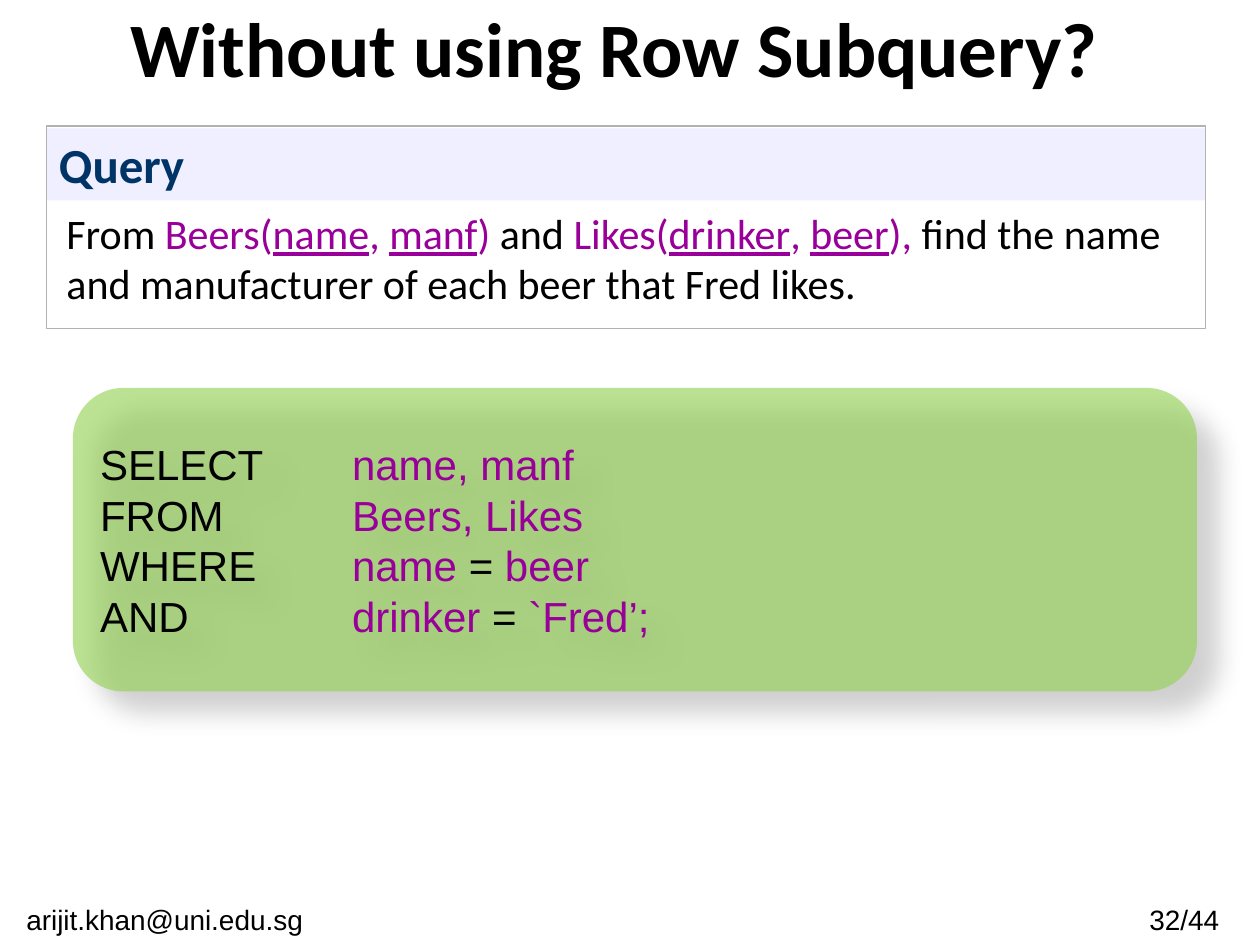
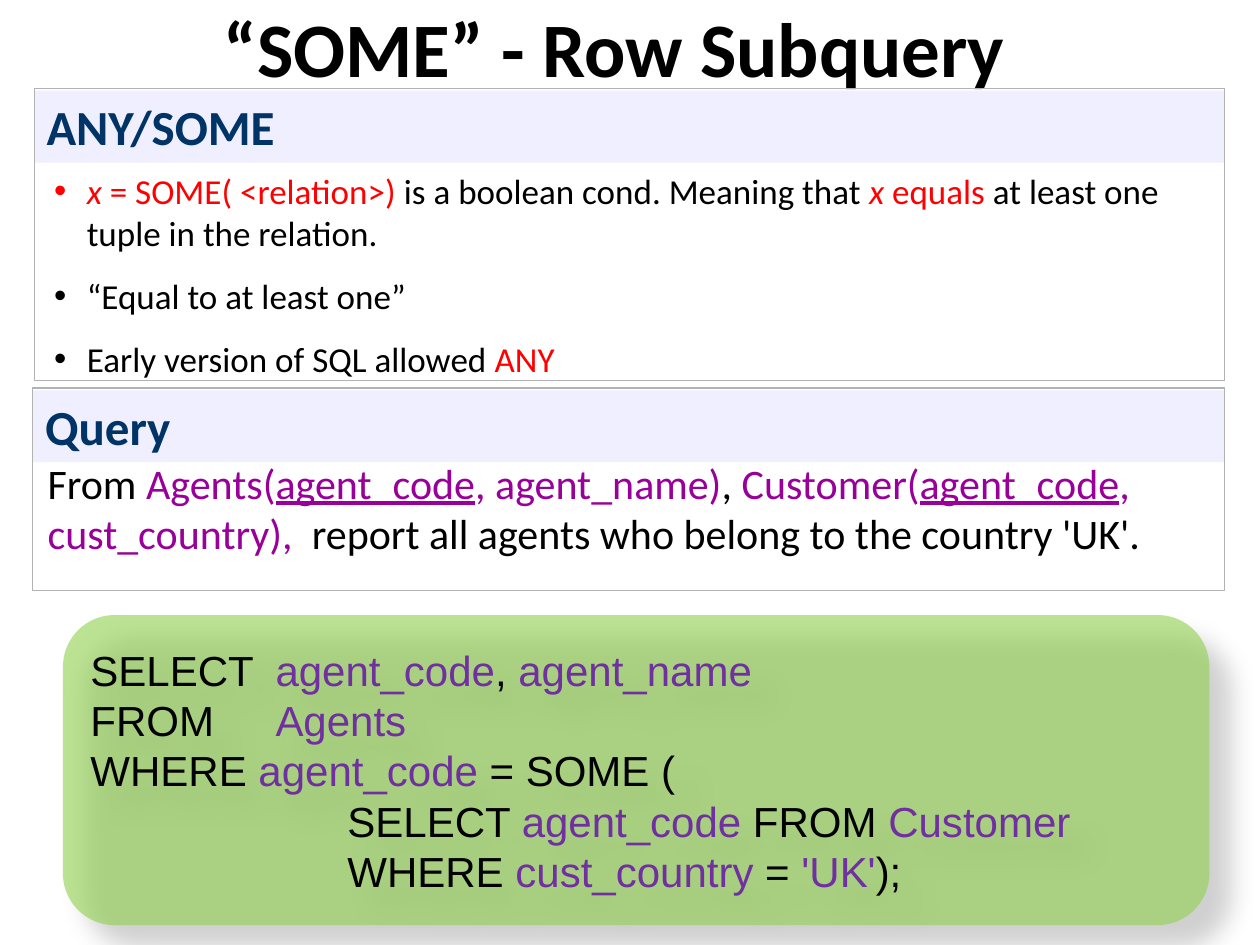
"""Build two lecture slides on SQL row subqueries."""
from lxml import etree
from pptx import Presentation
from pptx import util as u
from pptx.dml import color
from pptx.enum import shapes, text
from pptx.oxml import ns

Cm, Pt = u.Cm, u.Pt
BLACK, NAVY, RED = "000000", "003366", "FF0000"
PURPLE, VIOLET = "990099", "7030A0"
HEADER_FILL, FRAME_GREY, CODE_GREEN = "EFEFFF", "B2B2B2", "92D050"


def rgb(value):
    return color.RGBColor.from_string(value)


def write(frame, lines, size, font="Calibri", align=text.PP_ALIGN.LEFT):
    frame.word_wrap = True
    for number, pieces in enumerate(lines):
        paragraph = frame.add_paragraph() if number else frame.paragraphs[0]
        paragraph.alignment = align
        for words, tint, *style in pieces:
            run = paragraph.add_run()
            run.text = words
            run.font.name, run.font.size = font, Pt(size)
            run.font.color.rgb = rgb(tint)
            run.font.bold = "bold" in style
            run.font.italic = "italic" in style
            run.font.underline = "underline" in style


beers_query = [[
    ("From ", BLACK), ("Beers(", PURPLE), ("name", PURPLE, "underline"),
    (", ", PURPLE), ("manf", PURPLE, "underline"), (")", PURPLE),
    (" and ", BLACK), ("Likes(", PURPLE), ("drinker", PURPLE, "underline"),
    (", ", PURPLE), ("beer", PURPLE, "underline"), ("),", PURPLE),
    (" find the name and manufacturer of each beer that Fred likes.", BLACK),
]]
beers_sql = [
    [("SELECT\t", BLACK), ("name, manf", PURPLE)],
    [("FROM\t", BLACK), ("Beers, Likes", PURPLE)],
    [("WHERE\t", BLACK), ("name ", PURPLE), ("= ", BLACK), ("beer", PURPLE)],
    [("AND\t", BLACK), ("drinker ", PURPLE), ("= ", BLACK), ("`Fred’;", PURPLE)],
]
some_rules = [
    [("x", RED, "italic"), (" = SOME( <relation>) ", RED),
     ("is a boolean cond. Meaning that ", BLACK), ("x", RED, "italic"),
     (" equals ", RED), ("at least one tuple in the relation.", BLACK)],
    [("“Equal to at least one”", BLACK)],
    [("Early version of SQL allowed ", BLACK), ("ANY", RED)],
]
agents_query = [[
    ("From ", BLACK), ("Agents(", PURPLE), ("agent_code", PURPLE, "underline"),
    (", agent_name)", PURPLE), (", ", BLACK), ("Customer(", PURPLE),
    ("agent_code", PURPLE, "underline"), (", cust_country), ", PURPLE),
    (" report all agents who belong to the country 'UK'.", BLACK),
]]
agents_sql = [
    [("SELECT\t", BLACK), ("agent_code", VIOLET), (", ", BLACK), ("agent_name", VIOLET)],
    [("FROM\t", BLACK), ("Agents", VIOLET)],
    [("WHERE ", BLACK), ("agent_code", VIOLET), (" = SOME (", BLACK)],
    [("SELECT ", BLACK), ("agent_code", VIOLET), (" FROM ", BLACK), ("Customer", VIOLET)],
    [("WHERE ", BLACK), ("cust_country ", VIOLET), ("= ", BLACK), ("'UK'", VIOLET),
     (");", BLACK)],
]

lessons = [
    dict(
        title="Without using Row Subquery?",
        footers=[("arijit.khan@uni.edu.sg", -0.08, 6.8), ("32/44", 22.4, 2.95)],
        panels=[("Query", (0.94, 2.54, 23.37, 4.09), (0.15, 1.52), beers_query, 24, False)],
        sql=beers_sql, sql_box=(1.47, 7.82, 22.66, 6.12), tab=5.08, nested=(),
    ),
    dict(
        title="“SOME” - Row Subquery",
        footers=[],
        panels=[
            ("Query", (0.66, 7.82, 24.03, 4.09), (0.05, 1.27), agents_query, 24, False),
            ("ANY/SOME", (0.69, 1.78, 24, 5.89), (0.15, 1.52), some_rules, 20, True),
        ],
        sql=agents_sql, sql_box=(1.27, 12.4, 23.11, 6.25), tab=3.73, nested=(3, 4),
    ),
]

deck = Presentation()
deck.slide_width, deck.slide_height = Cm(25.4), Cm(19.05)

for lesson in lessons:
    slide = deck.slides.add_slide(deck.slide_layouts[6])

    title = slide.shapes.add_textbox(Cm(0.64), 0, Cm(23.5), Cm(1.9)).text_frame
    title.vertical_anchor = text.MSO_ANCHOR.MIDDLE
    write(title, [[(lesson["title"], BLACK, "bold")]], 44, align=text.PP_ALIGN.CENTER)

    for words, left, width in lesson["footers"]:
        footer = slide.shapes.add_textbox(Cm(left), Cm(18.06), Cm(width), Cm(0.99))
        write(footer.text_frame, [[(words, BLACK)]], 16, "Arial", text.PP_ALIGN.CENTER)

    for heading, (left, top, width, height), (dx, dy), lines, size, bulleted in lesson["panels"]:
        header = slide.shapes.add_shape(
            shapes.MSO_SHAPE.RECTANGLE, Cm(left), Cm(top + 0.05), Cm(width), Cm(1.45))
        header.shadow.inherit = False
        header.fill.solid()
        header.fill.fore_color.rgb = rgb(HEADER_FILL)
        header.line.fill.background()
        header.text_frame.vertical_anchor = text.MSO_ANCHOR.TOP
        write(header.text_frame, [[(heading, NAVY, "bold")]], 28)

        border = slide.shapes.add_shape(
            shapes.MSO_SHAPE.RECTANGLE, Cm(left), Cm(top), Cm(width), Cm(height))
        border.shadow.inherit = False
        border.fill.background()
        border.line.color.rgb = rgb(FRAME_GREY)
        border.line.width = Pt(0.75)

        body = slide.shapes.add_textbox(
            Cm(left + dx), Cm(top + dy), Cm(width - dx), Cm(height - dy)).text_frame
        write(body, lines, size)
        if bulleted:
            for number, paragraph in enumerate(body.paragraphs):
                paragraph.space_before = Pt(12 if number else 0)
                properties = paragraph._p.get_or_add_pPr()
                properties.set("marL", str(Cm(0.66)))
                properties.set("indent", str(-Cm(0.66)))
                etree.SubElement(properties, ns.qn("a:buFont"), typeface="Arial")
                etree.SubElement(properties, ns.qn("a:buChar"), char="•")

    card = slide.shapes.add_shape(
        shapes.MSO_SHAPE.ROUNDED_RECTANGLE, *[Cm(length) for length in lesson["sql_box"]])
    card.fill.solid()
    card.fill.fore_color.rgb = rgb(CODE_GREEN)
    card.line.fill.background()
    card.shadow.inherit = False
    card_properties = card._element.spPr
    green = card_properties.find(ns.qn("a:solidFill"))[0]
    etree.SubElement(green, ns.qn("a:alpha"), val="61000")
    shadow = etree.SubElement(
        card_properties.find(ns.qn("a:effectLst")), ns.qn("a:outerShdw"),
        blurRad=str(Pt(15)), dist=str(Pt(18)), dir="2700000", algn="tl", rotWithShape="0")
    shade = etree.SubElement(shadow, ns.qn("a:srgbClr"), val=BLACK)
    etree.SubElement(shade, ns.qn("a:alpha"), val="30000")

    card.text_frame.vertical_anchor = text.MSO_ANCHOR.MIDDLE
    write(card.text_frame, lesson["sql"], 24, "Arial")
    for number, paragraph in enumerate(card.text_frame.paragraphs):
        properties = paragraph._p.get_or_add_pPr()
        if number in lesson["nested"]:
            properties.set("marL", str(Cm(5.18)))
            properties.set("indent", "0")
        else:
            tabs = etree.SubElement(properties, ns.qn("a:tabLst"))
            etree.SubElement(tabs, ns.qn("a:tab"), pos=str(Cm(lesson["tab"])), algn="l")

deck.save("out.pptx")
